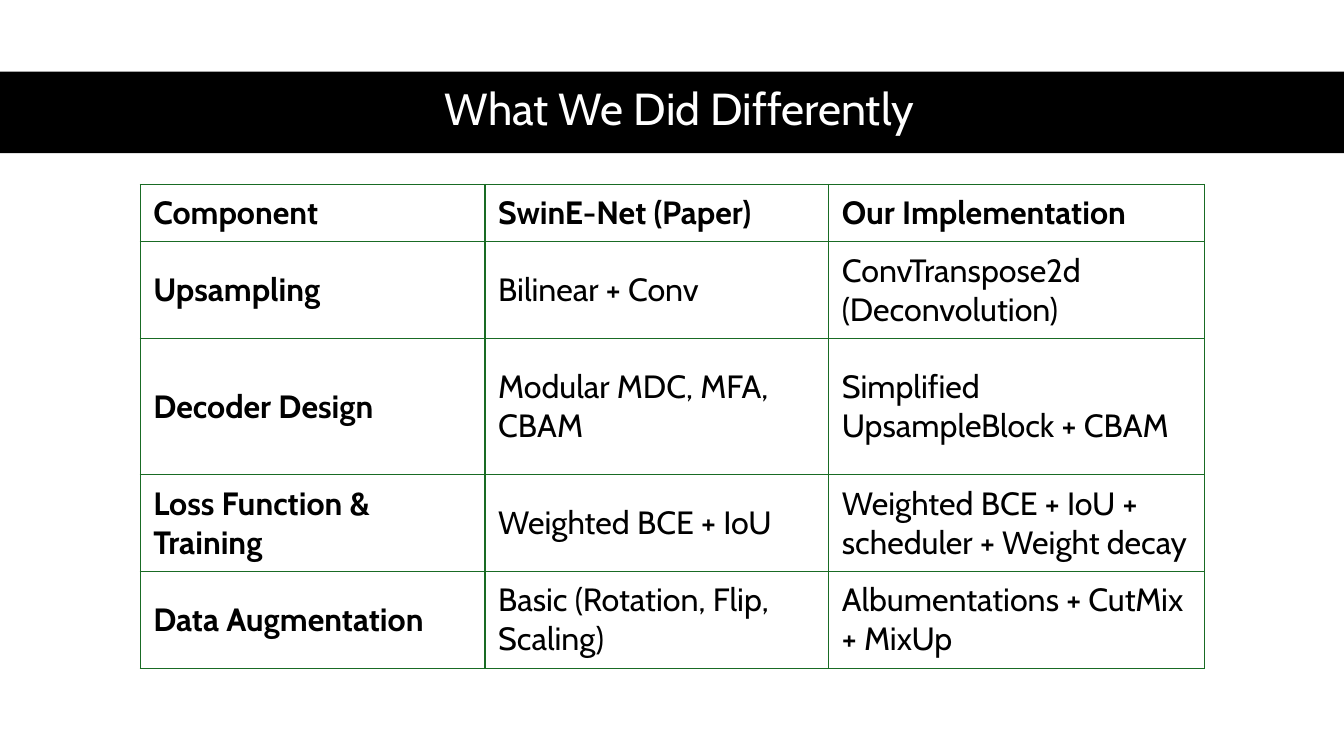
from dataclasses import dataclass

from lxml.etree import SubElement
from pptx import Presentation
from pptx.dml.color import RGBColor
from pptx.enum.shapes import MSO_SHAPE
from pptx.enum.text import MSO_ANCHOR, PP_ALIGN
from pptx.oxml.ns import qn
from pptx.util import Inches, Pt


@dataclass(frozen=True)
class Theme:
    font: str = "Cabin"
    band: str = "000000"
    title: str = "FFFFFF"
    text: str = "000000"
    border: str = "196B24"
    title_size: int = 32
    table_size: int = 23
    border_width: int = 1


COMPARISON = [
    ("Component", "SwinE-Net (Paper)", "Our Implementation"),
    ("Upsampling", "Bilinear + Conv", "ConvTranspose2d (Deconvolution)"),
    ("Decoder Design", "Modular MDC, MFA, CBAM", "Simplified UpsampleBlock + CBAM"),
    ("Loss Function & Training", "Weighted BCE + IoU",
     "Weighted BCE + IoU + scheduler + Weight decay"),
    ("Data Augmentation", "Basic (Rotation, Flip, Scaling)",
     "Albumentations + CutMix + MixUp"),
]


def write_text(frame, text, *, font, size, color, bold=False,
               align=PP_ALIGN.LEFT, line_spacing=1.0):
    paragraph = frame.paragraphs[0]
    paragraph.alignment = align
    paragraph.line_spacing = line_spacing
    run = paragraph.add_run()
    run.text = text
    run.font.name = font
    run.font.size = Pt(size)
    run.font.bold = bold
    run.font.color.rgb = RGBColor.from_string(color)


class SlideBuilder:
    """Places elements by percentages of the slide's width and height."""

    def __init__(self, presentation, theme):
        self.theme = theme
        self.width = presentation.slide_width
        self.height = presentation.slide_height
        self.slide = presentation.slides.add_slide(presentation.slide_layouts[6])

    def across(self, percent):
        return round(self.width * percent / 100)

    def down(self, percent):
        return round(self.height * percent / 100)

    def box(self, left, top, width, height):
        return self.across(left), self.down(top), self.across(width), self.down(height)

    def band(self, *place):
        shape = self.slide.shapes.add_shape(MSO_SHAPE.RECTANGLE, *self.box(*place))
        shape.shadow.inherit = False
        shape.fill.solid()
        shape.fill.fore_color.rgb = RGBColor.from_string(self.theme.band)
        shape.line.fill.background()

    def title(self, text, *place):
        frame = self.slide.shapes.add_textbox(*self.box(*place)).text_frame
        frame.word_wrap = True
        frame.vertical_anchor = MSO_ANCHOR.MIDDLE
        write_text(frame, text, font=self.theme.font, size=self.theme.title_size,
                   color=self.theme.title, align=PP_ALIGN.CENTER, line_spacing=0.9)

    def table(self, rows, left, top, column_widths, row_heights):
        place = self.box(left, top, sum(column_widths), sum(row_heights))
        table = self.slide.shapes.add_table(len(rows), len(rows[0]), *place).table
        table.first_row = table.horz_banding = False
        for column, width in zip(table.columns, column_widths):
            column.width = self.across(width)
        for row, height in zip(table.rows, row_heights):
            row.height = self.down(height)
        for row_index, texts in enumerate(rows):
            for column_index, text in enumerate(texts):
                self.cell(table.cell(row_index, column_index), text,
                          bold=row_index == 0 or column_index == 0)

    def cell(self, cell, text, bold):
        cell.margin_left = cell.margin_right = Inches(0.13)
        cell.margin_top = cell.margin_bottom = Inches(0.06)
        cell.vertical_anchor = MSO_ANCHOR.MIDDLE
        self.cell_borders(cell)
        cell.fill.background()
        write_text(cell.text_frame, text, font=self.theme.font,
                   size=self.theme.table_size, color=self.theme.text, bold=bold)

    def cell_borders(self, cell):
        properties = cell._tc.get_or_add_tcPr()
        for side in ("lnL", "lnR", "lnT", "lnB"):
            line = SubElement(properties, qn(f"a:{side}"),
                              w=str(Pt(self.theme.border_width)))
            fill = SubElement(line, qn("a:solidFill"))
            SubElement(fill, qn("a:srgbClr"), val=self.theme.border)


def main():
    presentation = Presentation()
    presentation.slide_width = Inches(13.33)
    presentation.slide_height = Inches(7.5)
    builder = SlideBuilder(presentation, Theme())
    builder.band(0, 9.47, 100, 10.8)
    builder.title("What We Did Differently", 4.58, 9.33, 91.97, 10.8)
    builder.table(COMPARISON, 10.43, 24.4,
                  column_widths=(25.66, 25.58, 27.98),
                  row_heights=(7.6, 12.8, 18, 12.8, 12.8))
    presentation.save("out.pptx")


if __name__ == "__main__":
    main()
